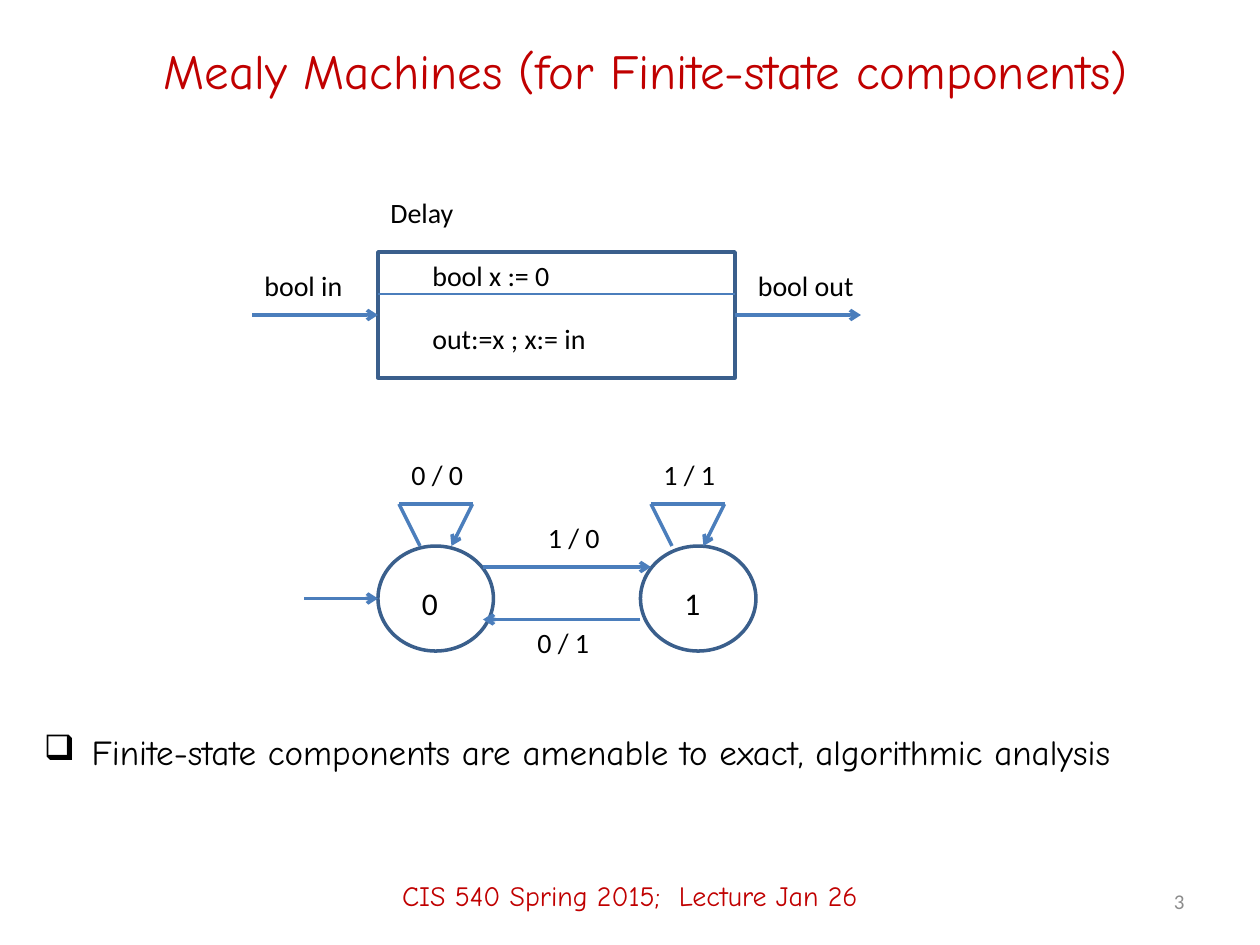
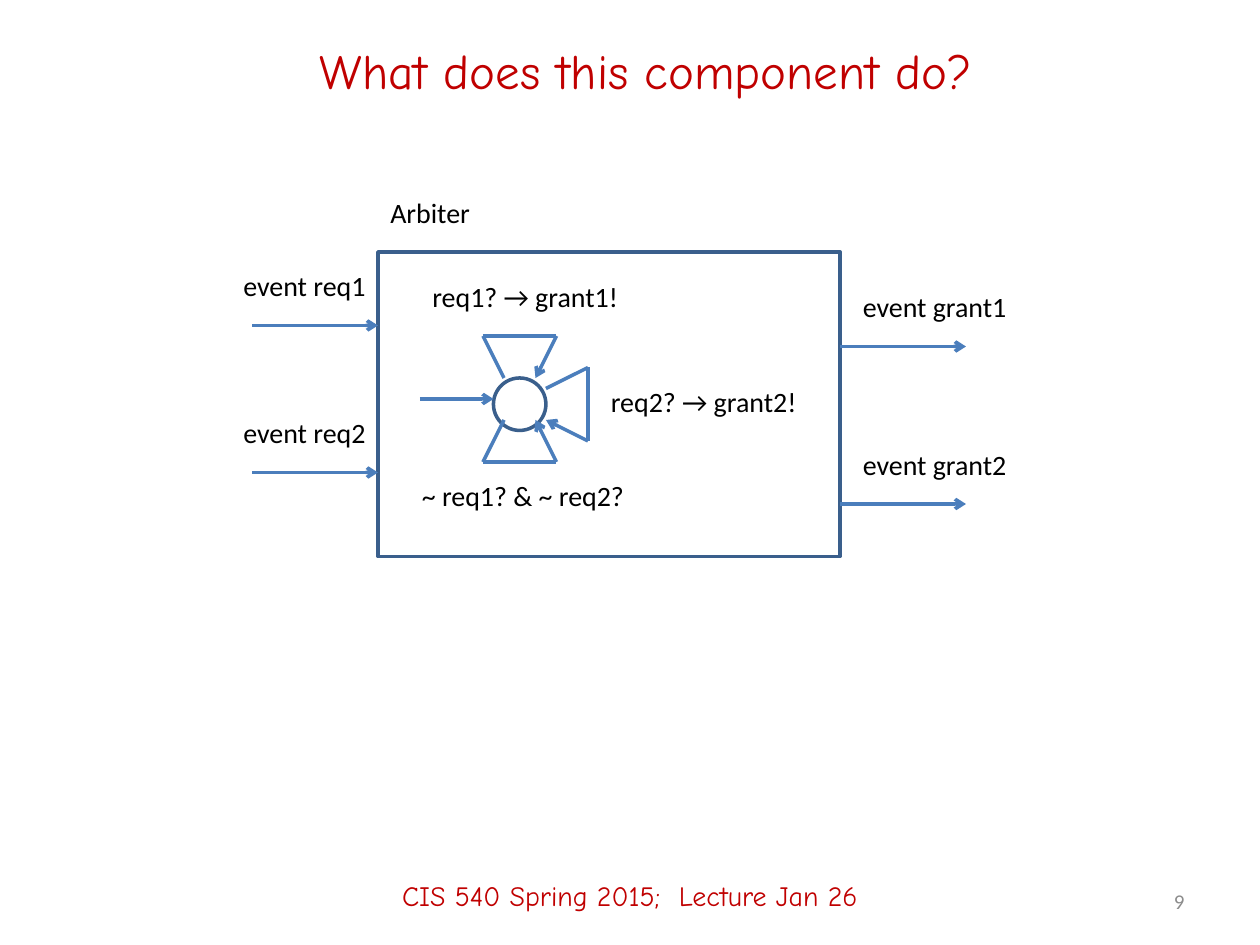
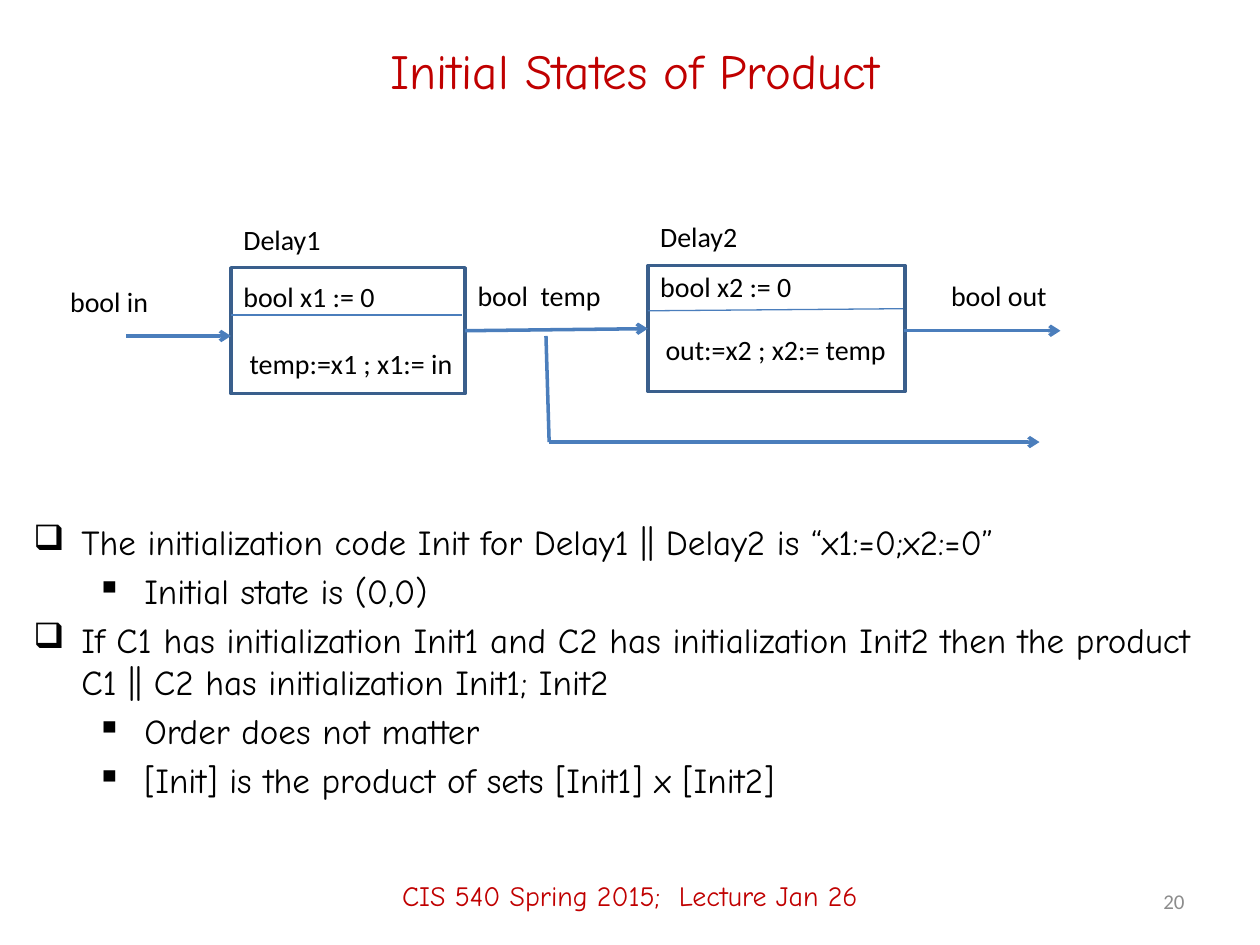
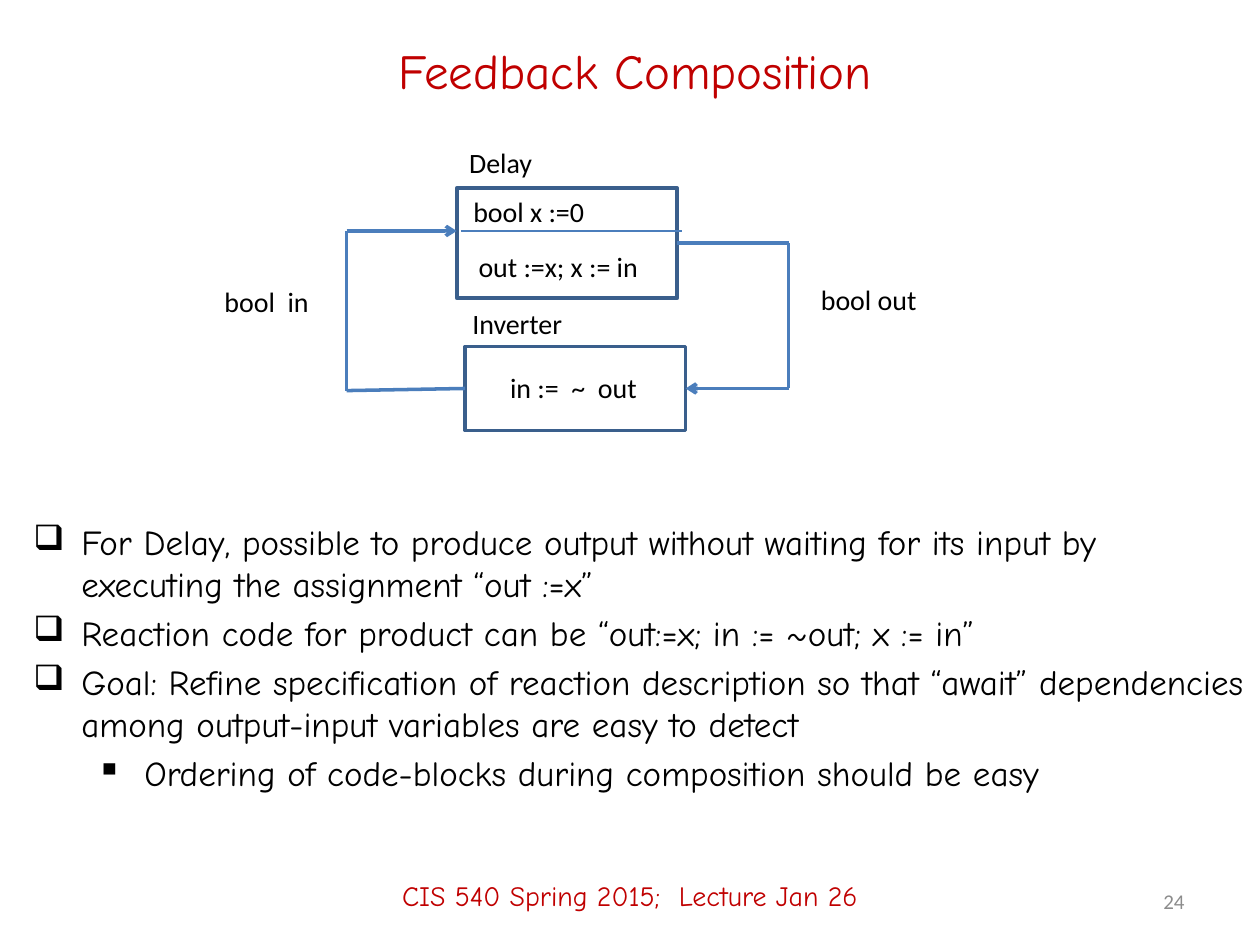
from dataclasses import dataclass
from itertools import pairwise
from typing import NamedTuple, Union

from lxml import etree
from pptx import Presentation
from pptx import util as u
from pptx.dml.color import RGBColor
from pptx.enum import shapes, text
from pptx.oxml.ns import qn
from pptx.shapes.autoshape import Shape
from pptx.slide import Slide

WIDTH, HEIGHT = u.Inches(10), u.Inches(7.5)
COLUMNS, ROWS = 120, 90
COLORS = {"title": "C00000", "ink": "000000", "number": "8C8C8C",
          "outline": "3A5F8C", "wire": "4B7EBC"}
HAND, SANS = "Comic Neue", "Calibri"
LEFT_SIDE, RIGHT_SIDE = 1, 3
RECTANGLE = shapes.MSO_SHAPE.RECTANGLE
OVAL = shapes.MSO_SHAPE.OVAL
FOOTER = "CIS 540 Spring 2015;  Lecture Jan 26"


class Point(NamedTuple):
    column: float
    row: float


class Area(NamedTuple):
    left: float
    top: float
    width: float
    height: float


class Port(NamedTuple):
    box: Shape
    side: int


Stop = Union[Point, Port]


@dataclass(frozen=True)
class Style:
    font: str
    size: float
    color: str
    align: text.PP_ALIGN = text.PP_ALIGN.LEFT


@dataclass(frozen=True)
class Label:
    text: str
    left: float
    top: float
    width: float
    size: float = 16


@dataclass(frozen=True)
class Bullet:
    text: str
    level: int = 0


TITLE = Style(HAND, 28, "title", text.PP_ALIGN.CENTER)
FOOT = Style(HAND, 16, "title", text.PP_ALIGN.CENTER)
NUMBER = Style(SANS, 12, "number", text.PP_ALIGN.RIGHT)
BODY = Style(HAND, 20, "ink")
BULLET_MARKS = ("❑", "▪")
BULLET_INDENTS = (0.38, 0.88)


def across(columns: float) -> int:
    return round(WIDTH * columns / COLUMNS)


def down(rows: float) -> int:
    return round(HEIGHT * rows / ROWS)


def place(area: Area) -> tuple[int, int, int, int]:
    return across(area.left), down(area.top), across(area.width), down(area.height)


def rgb(name: str) -> RGBColor:
    return RGBColor.from_string(COLORS[name])


def style_paragraph(para, style: Style) -> None:
    para.alignment = style.align
    para.font.name = style.font
    para.font.size = u.Pt(style.size)
    para.font.color.rgb = rgb(style.color)


def add_text(page: Slide, words: str, area: Area, style: Style) -> Shape:
    box = page.shapes.add_textbox(*place(area))
    frame = box.text_frame
    frame.word_wrap = True
    frame.vertical_anchor = text.MSO_ANCHOR.MIDDLE
    frame.text = words
    style_paragraph(frame.paragraphs[0], style)
    return box


def add_labels(page: Slide, *labels: Label) -> None:
    for label in labels:
        area = Area(label.left, label.top, label.width, label.size * 0.27)
        frame = add_text(page, label.text, area, Style(SANS, label.size, "ink")).text_frame
        frame.word_wrap = False
        frame.auto_size = text.MSO_AUTO_SIZE.SHAPE_TO_FIT_TEXT
        frame.vertical_anchor = text.MSO_ANCHOR.TOP


def add_bullets(page: Slide, area: Area, *bullets: Bullet) -> None:
    frame = page.shapes.add_textbox(*place(area)).text_frame
    frame.word_wrap = True
    for index, bullet in enumerate(bullets):
        para = frame.add_paragraph() if index else frame.paragraphs[0]
        para.text = bullet.text
        para.level = bullet.level
        para.space_before = u.Pt(4 if index else 0)
        properties = para._p.get_or_add_pPr()
        properties.set("marL", str(u.Inches(BULLET_INDENTS[bullet.level])))
        properties.set("indent", str(-u.Inches(BULLET_INDENTS[0])))
        etree.SubElement(properties, qn("a:buChar")).set("char", BULLET_MARKS[bullet.level])
        style_paragraph(para, BODY)


def add_outline(page: Slide, kind: shapes.MSO_SHAPE, area: Area) -> Shape:
    box = page.shapes.add_shape(kind, *place(area))
    box.shadow.inherit = False
    box.fill.background()
    box.line.color.rgb = rgb("outline")
    box.line.width = u.Pt(2)
    return box


def locate(stop: Stop) -> tuple[int, int]:
    if isinstance(stop, Point):
        return across(stop.column), down(stop.row)
    box = stop.box
    x = box.left + (box.width if stop.side == RIGHT_SIDE else 0)
    return x, box.top + box.height // 2


def add_line(page: Slide, start: Stop, end: Stop, arrow: bool = False, weight: float = 2) -> None:
    line = page.shapes.add_connector(
        shapes.MSO_CONNECTOR.STRAIGHT, *locate(start), *locate(end))
    if isinstance(start, Port):
        line.begin_connect(start.box, start.side)
    if isinstance(end, Port):
        line.end_connect(end.box, end.side)
    line.line.color.rgb = rgb("wire")
    line.line.width = u.Pt(weight)
    properties = line.element.spPr
    if arrow:
        etree.SubElement(properties.find(qn("a:ln")), qn("a:tailEnd")).set("type", "arrow")
    etree.SubElement(properties, qn("a:effectLst"))


def add_route(page: Slide, *stops: Stop) -> None:
    for start, end in pairwise(stops):
        add_line(page, start, end, arrow=end is stops[-1])


def add_divider(page: Slide, start: Point, end: Point) -> None:
    add_line(page, start, end, weight=0.75)


def add_self_loop(page: Slide, corner: Point, along: Point = Point(1, 0),
                  inward: Point = Point(0, 1)) -> None:
    steps = ((2, 4), (0, 0), (7, 0), (5, 4))
    add_route(page, *(Point(corner.column + a * along.column + i * inward.column,
                            corner.row + a * along.row + i * inward.row)
                      for a, i in steps))


def add_page(deck, title: str, number: int, title_width: float = 103) -> Slide:
    page = deck.slides.add_slide(deck.slide_layouts[6])
    add_text(page, title, Area(9, 2, title_width, 9.4), TITLE)
    add_text(page, FOOTER, Area(0, 80.6, COLUMNS, 9.4), FOOT)
    add_text(page, str(number), Area(86, 83.4, 28, 4.8), NUMBER)
    return page


def build_mealy(deck) -> None:
    page = add_page(deck, "Mealy Machines (for Finite-state components)", 3, 105)
    delay = add_outline(page, RECTANGLE, Area(36, 24, 34, 12))
    add_route(page, Port(delay, RIGHT_SIDE), Point(82, 30))
    add_route(page, Point(24, 30), Port(delay, LEFT_SIDE))
    add_divider(page, Point(36, 28), Point(70, 28))
    for name, left, loop_left in (("0", 36, 38), ("1", 61, 62)):
        add_outline(page, OVAL, Area(left, 52, 11, 10))
        add_self_loop(page, Point(loop_left, 48))
        add_labels(page, Label(name, left + 3, 55, 4, 18),
                   Label(f"{name} / {name}", loop_left, 43, 7.4))
    add_route(page, Point(46, 54), Point(62, 54))
    add_route(page, Point(61, 59), Point(46, 59))
    add_route(page, Point(29, 57), Point(36, 57))
    add_labels(page,
               Label("Delay", 36, 18, 8.5),
               Label("bool in", 24, 25, 10),
               Label("bool out", 71, 25, 11.6),
               Label("bool x := 0", 40, 24, 13.7),
               Label("out:=x ; x:= in", 40, 30, 17.2),
               Label("1 / 0", 51, 49, 7.4),
               Label("0 / 1", 50, 59, 7.4))
    add_bullets(page, Area(3, 69, 114, 9),
                Bullet("Finite-state components are amenable to exact, algorithmic analysis"))


def build_arbiter(deck) -> None:
    page = add_page(deck, "What does this component do?", 9, 105)
    add_outline(page, RECTANGLE, Area(36, 24, 44, 29))
    for index, (request_row, grant_row) in enumerate(((31, 33), (45, 48)), 1):
        add_route(page, Point(24, request_row), Point(36, request_row))
        add_route(page, Point(80, grant_row), Point(92, grant_row))
        add_labels(page,
                   Label(f"event req{index}", 22, request_row - 6, 14.3),
                   Label(f"event grant{index}", 81, grant_row - 6, 16.3))
    add_outline(page, OVAL, Area(47, 36, 5, 5))
    add_self_loop(page, Point(46, 32))
    add_self_loop(page, Point(56, 35), along=Point(0, 1), inward=Point(-1, 0))
    add_self_loop(page, Point(46, 44), inward=Point(0, -1))
    add_route(page, Point(40, 38), Point(47, 38))
    add_labels(page,
               Label("Arbiter", 36, 18, 10.1),
               Label("req1? → grant1!", 40, 26, 20.5),
               Label("req2? → grant2!", 57, 36, 20.5),
               Label("~ req1? & ~ req2?", 39, 45, 22))


def build_product(deck) -> None:
    page = add_page(deck, "Initial States of Product", 20)
    first = add_outline(page, RECTANGLE, Area(22, 25.5, 22.3, 12))
    second = add_outline(page, RECTANGLE, Area(61.7, 25.3, 24.5, 12))
    add_route(page, Port(first, RIGHT_SIDE), Port(second, LEFT_SIDE))
    add_route(page, Point(12, 32), Point(22, 32))
    add_route(page, Point(86.1, 31.5), Point(101, 31.5))
    add_route(page, Point(52, 32), Point(52.3, 42.1), Point(99, 42.1))
    add_divider(page, Point(22, 30), Point(44, 30))
    add_divider(page, Point(61.7, 29.6), Point(86, 29.4))
    add_labels(page,
               Label("Delay1", 22, 20.6, 9.8),
               Label("Delay2", 61.7, 20.3, 9.8),
               Label("bool in", 5.5, 26.5, 10),
               Label("bool  temp", 44.3, 25.9, 14.3),
               Label("bool out", 89.4, 25.9, 11.6),
               Label("bool x1 := 0", 22, 26, 15.1),
               Label("temp:=x1 ; x1:= in", 22.6, 32.4, 22),
               Label("bool x2 := 0", 61.7, 25.1, 15.1),
               Label("out:=x2 ; x2:= temp", 62.2, 31.1, 23.6))
    add_bullets(page, Area(2, 49, 116, 28.5),
                Bullet("The initialization code Init for Delay1 || Delay2 is “x1:=0;x2:=0”"),
                Bullet("Initial state is (0,0)", 1),
                Bullet("If C1 has initialization Init1 and C2 has initialization Init2 "
                       "then the product C1 || C2 has initialization Init1; Init2"),
                Bullet("Order does not matter", 1),
                Bullet("[Init] is the product of sets [Init1] x [Init2]", 1))


def build_feedback(deck) -> None:
    page = add_page(deck, "Feedback Composition", 24)
    delay = add_outline(page, RECTANGLE, Area(43.5, 17.9, 21, 10.5))
    inverter = add_outline(page, RECTANGLE, Area(44.3, 33, 21, 8))
    add_route(page, Port(inverter, LEFT_SIDE), Point(33, 37.2), Point(33, 22), Point(43.5, 22))
    add_route(page, Port(delay, RIGHT_SIDE), Point(75.1, 23.15), Point(75.1, 37),
              Port(inverter, RIGHT_SIDE))
    add_divider(page, Point(43.9, 22), Point(65, 22))
    add_labels(page,
               Label("Delay", 43.5, 13.3, 8.5),
               Label("bool x :=0", 43.9, 17.9, 13.1),
               Label("out :=x; x := in", 44.4, 23.2, 17.8),
               Label("Inverter", 43.8, 28.6, 11.2),
               Label("in :=  ~  out", 47.4, 34.7, 14.6),
               Label("bool  in", 20.2, 26.5, 10.6),
               Label("bool out", 77, 26.3, 11.6))
    add_bullets(page, Area(2, 49, 118, 31.5),
                Bullet("For Delay, possible to produce output without waiting for its input "
                       "by executing the assignment “out :=x”"),
                Bullet("Reaction code for product can be “out:=x; in := ~out; x := in”"),
                Bullet("Goal: Refine specification of reaction description so that “await” "
                       "dependencies among output-input variables are easy to detect"),
                Bullet("Ordering of code-blocks during composition should be easy", 1))


def main() -> None:
    deck = Presentation()
    deck.slide_width, deck.slide_height = WIDTH, HEIGHT
    for build in (build_mealy, build_arbiter, build_product, build_feedback):
        build(deck)
    deck.save("out.pptx")


if __name__ == "__main__":
    main()
